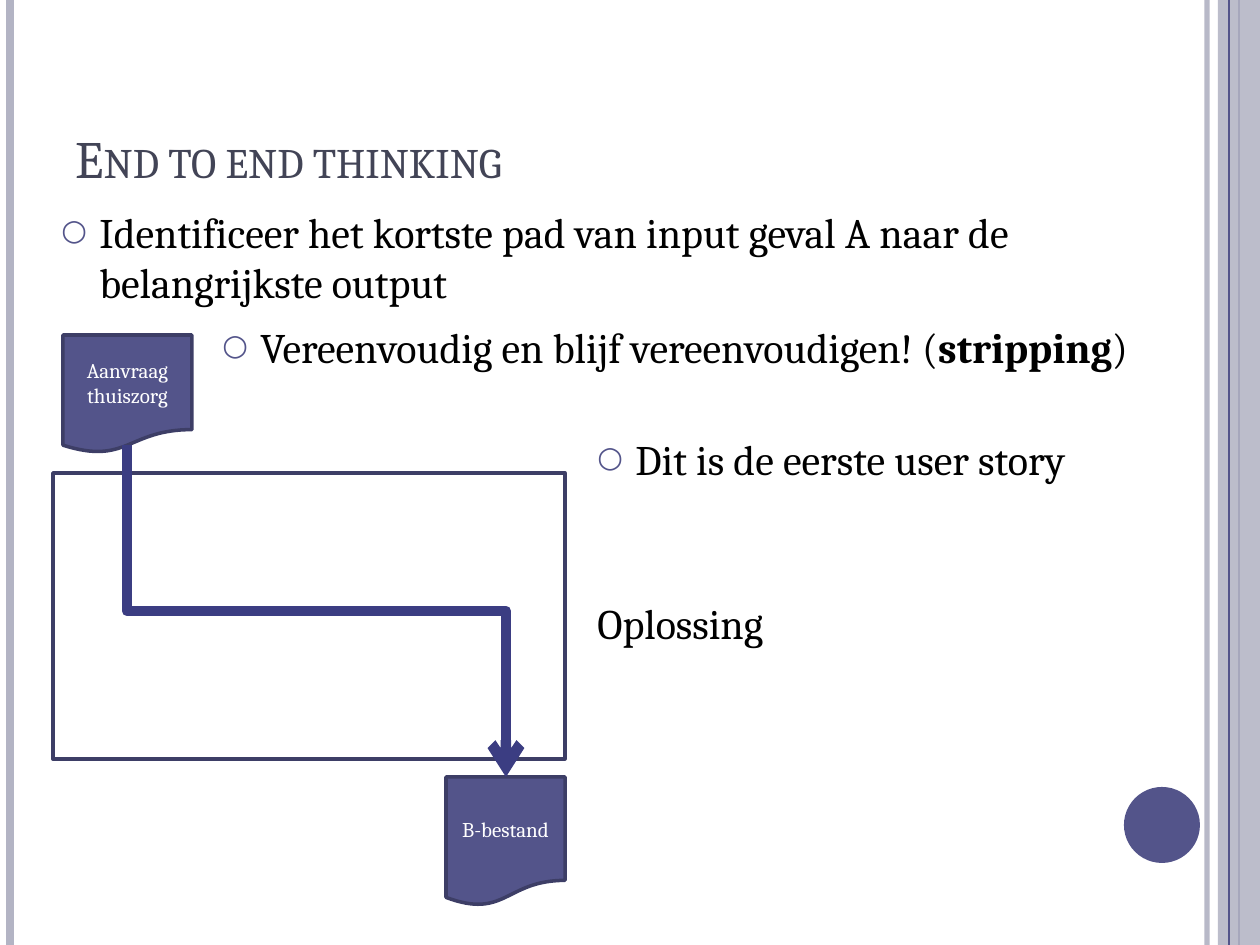
from lxml import etree
from pptx import Presentation
from pptx import util as u
from pptx.dml import color
from pptx.enum import shapes, text
from pptx.oxml import ns

SCALE = 914400 / 126
FONT = "Cambria"
INK, RAIL, MAIN, EDGE, FLOW = "000000", "B3B4C4", "53548A", "3D3E66", "3B3D82"
KIND = shapes.MSO_SHAPE


def px(*nums):
    """Turn px lengths into EMU."""
    return [int(num * SCALE) for num in nums]


def rgb(code):
    """Turn a hex string into a colour."""
    return color.RGBColor.from_string(code)


def node(owner, tag, **attrs):
    """Append an XML child to its owner."""
    return etree.SubElement(owner, ns.qn(tag), attrs)


def fade(part, share):
    """Set the opacity of a solid fill in percent."""
    solid = next(part.iter(ns.qn("a:srgbClr")))
    node(solid, "a:alpha", val=str(share * 1000))


def write(para, runs, size, code):
    """Add (words, bold) runs to a paragraph."""
    for words, bold in runs:
        run = para.add_run()
        run.text = words
        font = run.font
        font.name, font.size, font.bold = FONT, u.Pt(size), bold
        font.color.rgb = rgb(code)


def shape(slide, kind, box, fill=None, edge=None):
    """Add a flat preset shape."""
    item = slide.shapes.add_shape(kind, *px(*box))
    item.shadow.inherit = False
    if fill:
        item.fill.solid()
        item.fill.fore_color.rgb = rgb(fill)
    else:
        item.fill.background()
    if edge:
        item.line.color.rgb = rgb(edge)
        item.line.width = u.Pt(2)
    else:
        item.line.fill.background()
    return item


def link(slide, kind, ends, code, width):
    """Add a connector without shadow."""
    item = slide.shapes.add_connector(kind, *px(*ends))
    item.line.color.rgb = rgb(code)
    item.line.width = u.Pt(width)
    node(item._element.spPr, "a:effectLst")
    return item


def label(slide, box, runs, size=24, code=INK):
    """Add a one-paragraph text box and return its frame."""
    frame = slide.shapes.add_textbox(*px(*box)).text_frame
    frame.word_wrap = True
    write(frame.paragraphs[0], runs, size, code)
    return frame


def rails(slide, box):
    """Draw the side rails and the disc of the page frame."""
    left, top, wide, high = box

    def rail(shift, code, width):
        """Draw one full-height rail."""
        ends = (left + shift, top, left + shift, top + high)
        return link(slide, shapes.MSO_CONNECTOR.STRAIGHT, ends, code, width)

    fade(rail(wide - 53, RAIL, 3)._element, 93)
    rail(10, RAIL, 4.5)
    rail(wide - 21, MAIN, 1.5)
    band = shape(slide, KIND.RECTANGLE, (left + wide - 42, top, 42, high), RAIL)
    fade(band._element, 87)
    rail(wide - 31, MAIN, 0.75)
    shape(slide, KIND.OVAL, (left + wide - 136, top + high - 158, 76, 76), MAIN)


def title(slide, box, words):
    """Write the heading in small capitals at the foot of its box."""
    frame = label(slide, box, [(words, False)], 30, "424456")
    frame.vertical_anchor = text.MSO_ANCHOR.BOTTOM
    frame.paragraphs[0].runs[0].font._element.set("cap", "small")


def point(slide, box, *runs):
    """Write one bullet point."""
    para = label(slide, box, runs).paragraphs[0]
    para.space_before = u.Pt(6)
    props = para._p.get_or_add_pPr()
    dent = px(38)[0]
    props.set("marL", str(dent))
    props.set("indent", str(-dent))
    node(node(props, "a:buClr"), "a:srgbClr", val=MAIN)
    node(props, "a:buSzPct", val="70000")
    node(props, "a:buFont", typeface=FONT)
    node(props, "a:buChar", char="○")


def paper(slide, box, *lines):
    """Draw a document symbol with centred lines."""
    frame = shape(slide, KIND.FLOWCHART_DOCUMENT, box, MAIN, EDGE).text_frame
    frame.word_wrap = True
    frame.vertical_anchor = text.MSO_ANCHOR.MIDDLE
    for num, words in enumerate(lines):
        para = frame.add_paragraph() if num else frame.paragraphs[0]
        para.alignment = text.PP_ALIGN.CENTER
        write(para, [(words, False)], 12, "FFFFFF")


def elbow(slide, start, end):
    """Draw an arrow that runs down, across and down."""
    (ax, ay), (bx, by) = start, end
    midx, midy = (ax + bx) / 2, (ay + by) / 2
    halfw, halfh = (by - ay) / 2, (bx - ax) / 2
    ends = (midx + halfw, midy - halfh, midx - halfw, midy + halfh)
    item = link(slide, shapes.MSO_CONNECTOR.ELBOW, ends, FLOW, 6)
    item._element.spPr.xfrm.set("rot", str(270 * 60000))
    node(item.line._get_or_add_ln(), "a:tailEnd", type="arrow")


def chart(slide, box):
    """Draw the path from request to file through the solution."""
    left, top, wide, high = box
    shape(slide, KIND.RECTANGLE, (left, top + 138, wide, 286), edge=EDGE)
    label(slide, (left + wide + 20, top + 256, 246, 63), [("Oplossing", False)])
    paper(slide, (left + 10, top, 129, 118), "Aanvraag", "thuiszorg")
    paper(slide, (left + wide - 119, top + high - 129, 119, 129), "B-bestand")
    elbow(slide, (left + 74, top + 110), (left + wide - 59, top + high - 129))


def main():
    """Build and save the slide."""
    deck = Presentation()
    deck.slide_width, deck.slide_height = px(1260, 945)
    slide = deck.slides.add_slide(deck.slide_layouts[6])
    rails(slide, (0, 0, 1260, 945))
    title(slide, (63, 38, 1029, 157), "End to end thinking")
    point(slide, (49, 200, 1124, 134),
          ("Identificeer het kortste pad van input geval A naar de "
           "belangrijkste output", False))
    chart(slide, (53, 335, 512, 571))
    point(slide, (210, 315, 966, 134),
          ("Vereenvoudig en blijf vereenvoudigen! (", False),
          ("stripping", True), (")", False))
    point(slide, (585, 427, 611, 134), ("Dit is de eerste user story", False))
    deck.save("out.pptx")


if __name__ == "__main__":
    main()
